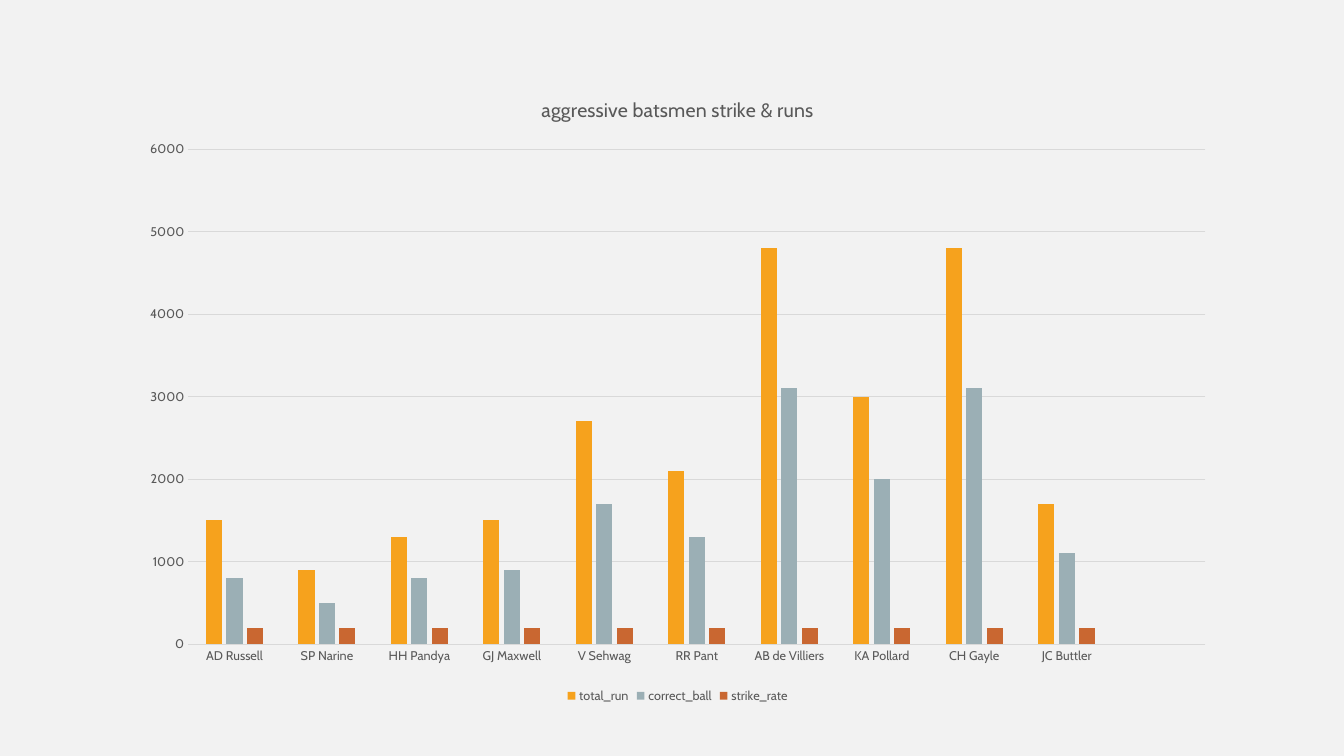
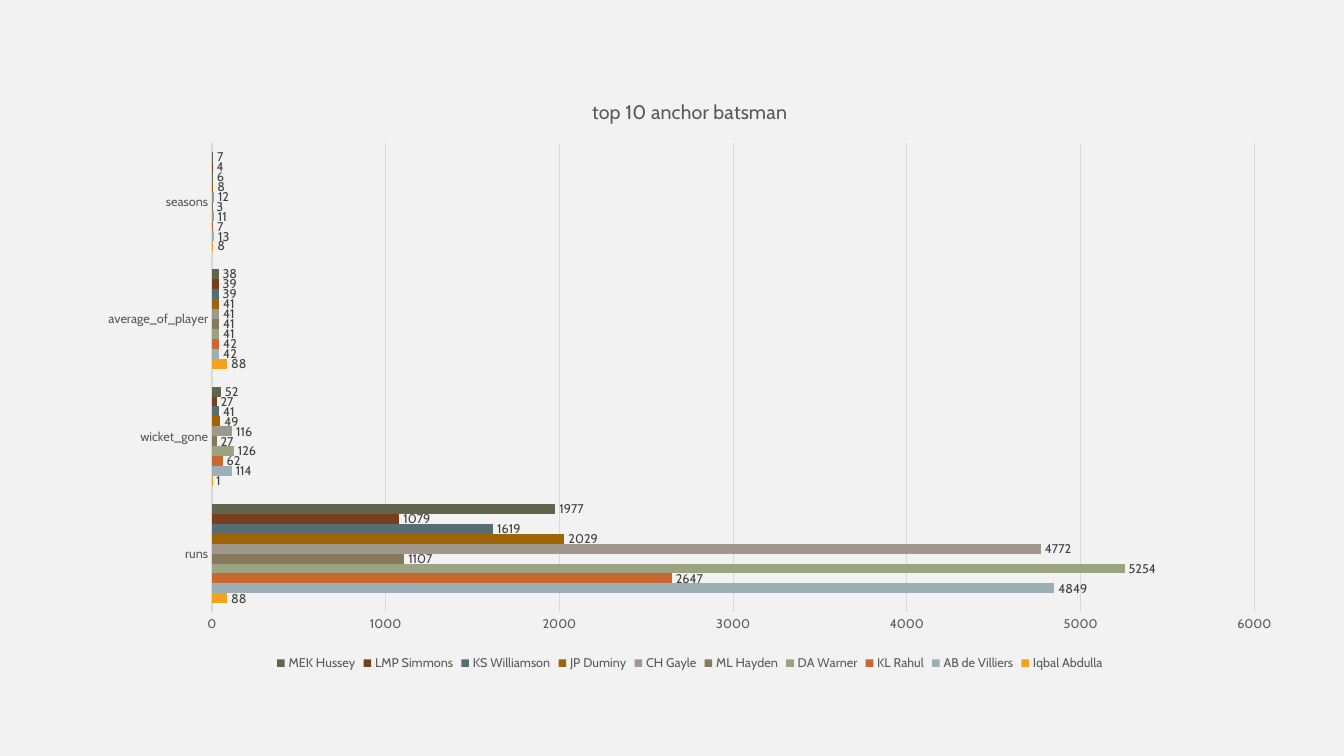
from pptx import Presentation
from pptx import util as u
from pptx.chart.data import CategoryChartData
from pptx.dml.color import RGBColor
from pptx.enum import chart as ch

PX = 9525
FONT = "Cabin"
COLORS = {
    "background": "F2F2F2", "text": "595959", "label": "404040",
    "grid": "D9D9D9", "base": "000000",
    "amber": "F6A21D", "mist": "9BAFB5", "rust": "C96731",
    "sage": "9CA383", "khaki": "87795D", "stone": "A0988C",
    "ochre": "9F6406", "slate": "566D74", "brown": "793E1D",
    "moss": "60654B",
}

BATSMEN = ["AD Russell", "SP Narine", "HH Pandya", "GJ Maxwell", "V Sehwag",
           "RR Pant", "AB de Villiers", "KA Pollard", "CH Gayle",
           "JC Buttler", ""]
STRIKE_SERIES = [
    ("total_run", "amber",
     [1500, 900, 1300, 1500, 2700, 2100, 4800, 3000, 4800, 1700, None]),
    ("correct_ball", "mist",
     [800, 500, 800, 900, 1700, 1300, 3100, 2000, 3100, 1100, None]),
    ("strike_rate", "rust", [200] * 10 + [None]),
]

MEASURES = ["runs", "wicket_gone", "average_of_player", "seasons"]
ANCHOR_SERIES = [
    ("Iqbal Abdulla", "amber", [88, 1, 88, 8]),
    ("AB de Villiers", "mist", [4849, 114, 42, 13]),
    ("KL Rahul", "rust", [2647, 62, 42, 7]),
    ("DA Warner", "sage", [5254, 126, 41, 11]),
    ("ML Hayden", "khaki", [1107, 27, 41, 3]),
    ("CH Gayle", "stone", [4772, 116, 41, 12]),
    ("JP Duminy", "ochre", [2029, 49, 41, 8]),
    ("KS Williamson", "slate", [1619, 41, 39, 6]),
    ("LMP Simmons", "brown", [1079, 27, 39, 4]),
    ("MEK Hussey", "moss", [1977, 52, 38, 7]),
]


def rgb(name):
    return RGBColor.from_string(COLORS[name])


def set_font(font, size, color="text"):
    font.name = FONT
    font.size = u.Pt(size)
    font.bold = False
    font.color.rgb = rgb(color)


def set_line(line):
    line.color.rgb = rgb("grid")
    line.width = u.Pt(0.75)


def style_title(chart, title):
    chart.has_title = True
    chart.chart_title.include_in_layout = False
    run = chart.chart_title.text_frame.paragraphs[0].add_run()
    run.text = title
    set_font(run.font, 14)


def style_axes(chart):
    for axis in (chart.category_axis, chart.value_axis):
        axis.major_tick_mark = axis.minor_tick_mark = ch.XL_TICK_MARK.NONE
        set_font(axis.tick_labels.font, 9)
    chart.category_axis.has_major_gridlines = False
    set_line(chart.category_axis.format.line)
    values = chart.value_axis
    values.minimum_scale, values.maximum_scale = 0, 6000
    values.major_unit = 1000
    values.has_major_gridlines = True
    set_line(values.major_gridlines.format.line)
    values.format.line.fill.background()


def style_legend(chart):
    chart.has_legend = True
    chart.legend.position = ch.XL_LEGEND_POSITION.BOTTOM
    chart.legend.include_in_layout = False
    set_font(chart.legend.font, 9)


def show_values(series):
    labels = series.data_labels
    labels.show_value = True
    labels.position = ch.XL_LABEL_POSITION.OUTSIDE_END
    set_font(labels.font, 9, "label")


def add_chart_slide(prs, kind, box, title, categories, rows, gap,
                    overlap=0, labelled=False):
    """Add a slide with one bar chart; box is left, top, width, height in px."""
    slide = prs.slides.add_slide(prs.slide_layouts[6])
    data = CategoryChartData()
    data.categories = categories
    for name, _, values in rows:
        data.add_series(name, values)
    chart = slide.shapes.add_chart(kind, *(n * PX for n in box), data).chart
    set_font(chart.font, 10, "base")
    style_title(chart, title)
    style_axes(chart)
    style_legend(chart)
    plot = chart.plots[0]
    plot.vary_by_categories = False
    plot.gap_width, plot.overlap = gap, overlap
    for series, (_, color, _) in zip(plot.series, rows):
        series.invert_if_negative = False
        series.format.fill.solid()
        series.format.fill.fore_color.rgb = rgb(color)
        if labelled:
            show_values(series)


def main():
    prs = Presentation()
    prs.slide_width, prs.slide_height = 1280 * PX, 720 * PX
    background = prs.slide_master.background.fill
    background.solid()
    background.fore_color.rgb = rgb("background")
    add_chart_slide(prs, ch.XL_CHART_TYPE.COLUMN_CLUSTERED,
                    (122, 71, 1047, 603), "aggressive batsmen strike & runs",
                    BATSMEN, STRIKE_SERIES, gap=219, overlap=-27)
    add_chart_slide(prs, ch.XL_CHART_TYPE.BAR_CLUSTERED,
                    (80, 74, 1154, 569), "top 10 anchor batsman",
                    MEASURES, ANCHOR_SERIES, gap=182, labelled=True)
    prs.save("out.pptx")


if __name__ == "__main__":
    main()
